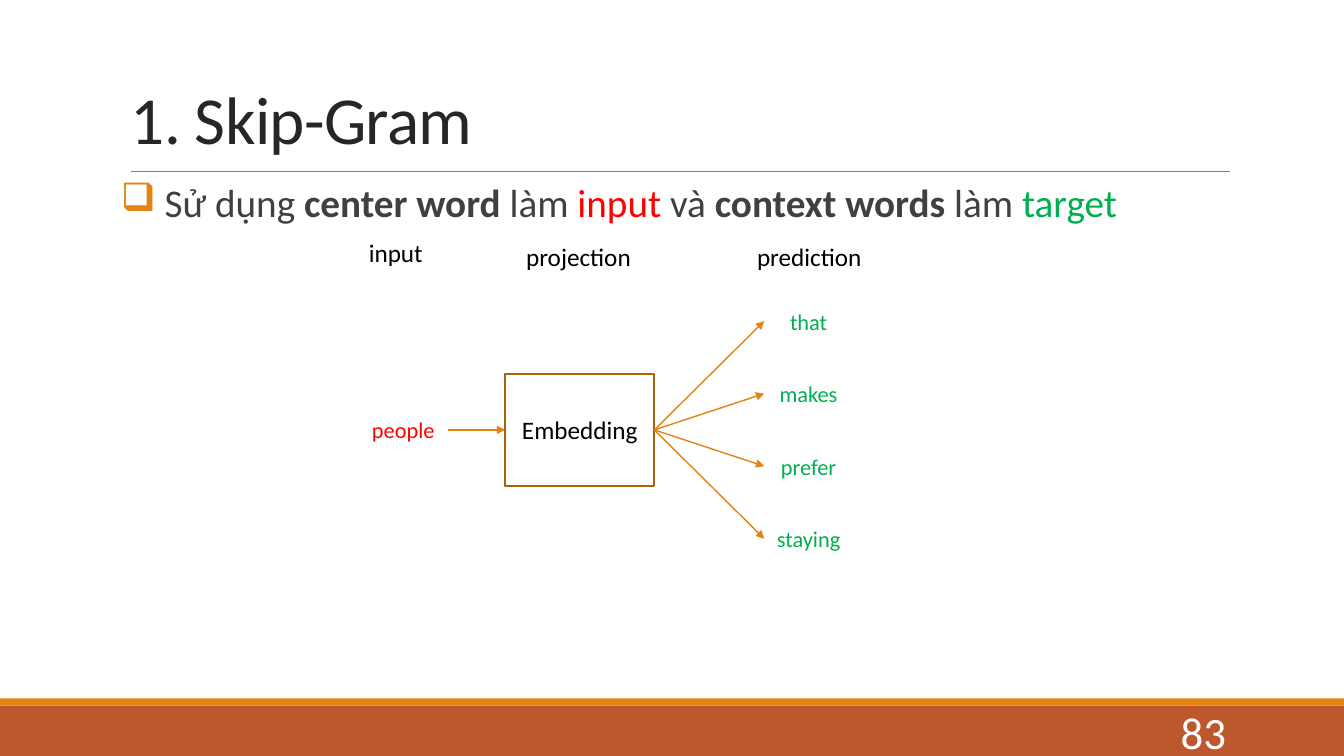
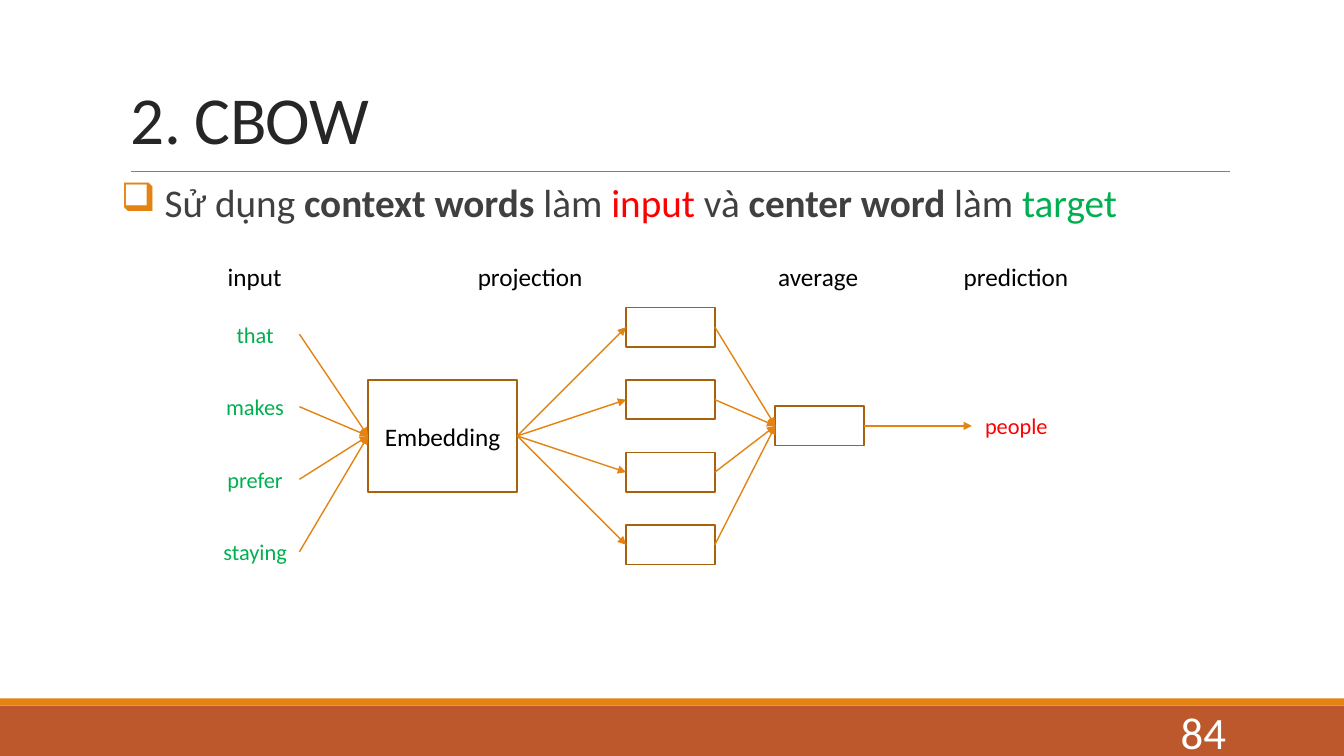
import pptx
import pptx.util
import pptx.dml.color
import pptx.enum.shapes
import pptx.enum.text
import pptx.oxml.ns
from lxml import etree

Inches, Pt = pptx.util.Inches, pptx.util.Pt
ALIGN, ANCHOR = pptx.enum.text.PP_ALIGN, pptx.enum.text.MSO_ANCHOR
RECT = pptx.enum.shapes.MSO_SHAPE.RECTANGLE
STRAIGHT = pptx.enum.shapes.MSO_CONNECTOR.STRAIGHT

FONT = "Calibri"
RUST, ORANGE, BROWN, GRAY = "BD582C", "E48312", "A9610D", "808080"
DARK, BODY, BLACK, WHITE = "262626", "404040", "000000", "FFFFFF"
RED, GREEN = "FF0000", "00B050"

WIDTH, HEIGHT = 13.33, 7.5
CELL_W, CELL_H, PITCH = 0.88, 0.39, 0.72
EMBED_W, EMBED_H = 1.48, 1.11
LEFT_SITE, RIGHT_SITE = 1, 3
CONTEXT = ["that", "makes", "prefer", "staying"]


def rgb(hex_color):
    return pptx.dml.color.RGBColor.from_string(hex_color)


def child(parent, tag, **attrs):
    return etree.SubElement(parent, pptx.oxml.ns.qn(tag), **attrs)


def style_run(r, size, color, bold=False):
    r.font.name, r.font.size, r.font.bold = FONT, Pt(size), bold
    r.font.color.rgb = rgb(color)


def set_text(sp, text, size, color, align=ALIGN.CENTER, anchor=ANCHOR.MIDDLE):
    """Fill a shape with one styled line and return its paragraph."""
    tf = sp.text_frame
    tf.text = text
    tf.word_wrap, tf.vertical_anchor = True, anchor
    p = tf.paragraphs[0]
    p.alignment = align
    style_run(p.runs[0], size, color)
    return p


def add_text(s, box, *args, **kwargs):
    sp = s.shapes.add_textbox(*map(Inches, box))
    set_text(sp, *args, **kwargs)
    return sp


def add_rect(s, box, fill=None, line=None):
    sp = s.shapes.add_shape(RECT, *map(Inches, box))
    sp.shadow.inherit = False
    if fill:
        sp.fill.solid()
        sp.fill.fore_color.rgb = rgb(fill)
    else:
        sp.fill.background()
    if line:
        sp.line.color.rgb, sp.line.width = rgb(line), Pt(1.25)
    else:
        sp.line.fill.background()
    return sp


def add_line(s, x1, y1, x2, y2, color, width):
    cx = s.shapes.add_connector(STRAIGHT, *map(Inches, (x1, y1, x2, y2)))
    cx.line.color.rgb, cx.line.width = rgb(color), Pt(width)
    child(cx._element.spPr, "a:effectLst")
    return cx


def link(s, source, target):
    """Glue an arrow from the right side of source to the left side of target."""
    cx = add_line(s, 0, 0, 1, 1, ORANGE, 1)
    cx.begin_connect(source, RIGHT_SITE)
    cx.end_connect(target, LEFT_SITE)
    child(cx.line._get_or_add_ln(), "a:tailEnd", type="triangle")


def add_heading(s, x, y, width, text):
    sp = add_text(s, (x, y, width, 0.4), text, 18, BLACK, ALIGN.LEFT, ANCHOR.TOP)
    sp.text_frame.word_wrap = False
    sp.text_frame.auto_size = pptx.enum.text.MSO_AUTO_SIZE.SHAPE_TO_FIT_TEXT


def add_word(s, x, y, text, color):
    return add_text(s, (x, y, CELL_W, CELL_H), text, 16, color)


def add_context(s, x, y):
    return [add_word(s, x, y + i * PITCH, word, GREEN) for i, word in enumerate(CONTEXT)]


def add_vector(s, x, y):
    return add_rect(s, (x, y, CELL_W, CELL_H), line=BROWN)


def add_embedding(s, x, y):
    sp = add_rect(s, (x, y, EMBED_W, EMBED_H), line=BROWN)
    set_text(sp, "Embedding", 18, BLACK)
    return sp


def add_statement(s, box, source, target):
    """Bulleted sentence naming what serves as input and as target."""
    sp = s.shapes.add_textbox(*map(Inches, box))
    tf = sp.text_frame
    tf.word_wrap = True
    tf.margin_left = tf.margin_right = 0
    p = tf.paragraphs[0]
    p.line_spacing, p.space_before, p.space_after = 0.9, Pt(12), Pt(2)
    pPr = p._p.get_or_add_pPr()
    pPr.set("marL", str(Inches(0.1)))
    pPr.set("indent", str(-Inches(0.1)))
    child(child(pPr, "a:buClr"), "a:srgbClr", val=ORANGE)
    child(pPr, "a:buChar", char="❑")
    for text, color, bold in [
        (" Sử dụng ", BODY, False), (source + " ", BODY, True),
        ("làm ", BODY, False), ("input", RED, False),
        (" và ", BODY, False), (target + " ", BODY, True),
        ("làm ", BODY, False), ("target", GREEN, False),
    ]:
        r = p.add_run()
        r.text = text
        style_run(r, 28, color, bold)


def add_frame(prs, title, number, source, target):
    """Add a slide with the shared bands, title, statement and page number."""
    s = prs.slides.add_slide(prs.slide_layouts[6])
    add_rect(s, (0, 7, WIDTH, 0.5), fill=RUST)
    add_rect(s, (0, 6.93, WIDTH, 0.07), fill=ORANGE)
    add_line(s, 1.3, 1.7, 12.2, 1.7, GRAY, 0.5)
    sp = s.shapes.add_textbox(*map(Inches, (1.2, 0.31, 11, 1.31)))
    p = set_text(sp, title, 48, DARK, ALIGN.LEFT, ANCHOR.BOTTOM)
    p.line_spacing = 0.85
    p.runs[0].font._element.set("spc", "-50")
    add_statement(s, (1.2, 1.77, 11, 4.65), source, target)
    add_text(s, (10.83, 7.06, 1.43, 0.4), str(number), 32, WHITE, ALIGN.RIGHT)
    return s


def draw_skip_gram(s, x, y):
    add_heading(s, x, y, 0.74, "input")
    add_heading(s, x + 1.56, y + 0.03, 1.25, "projection")
    add_heading(s, x + 3.85, y + 0.03, 1.25, "prediction")
    center = add_word(s, x, y + 1.76, "people", RED)
    embedding = add_embedding(s, x + 1.45, y + 1.4)
    link(s, center, embedding)
    for word in add_context(s, x + 4.02, y + 0.68):
        link(s, embedding, word)


def draw_cbow(s, x, y):
    for dx, width, text in [(0.07, 0.74, "input"), (2.55, 1.25, "projection"),
                            (5.53, 1, "average"), (7.37, 1.25, "prediction")]:
        add_heading(s, x + dx, y, width, text)
    embedding = add_embedding(s, x + 1.56, y + 1.23)
    average = add_vector(s, x + 5.6, y + 1.49)
    for i, word in enumerate(add_context(s, x, y + 0.58)):
        vector = add_vector(s, x + 4.12, y + 0.51 + i * PITCH)
        link(s, word, embedding)
        link(s, embedding, vector)
        link(s, vector, average)
    link(s, average, add_word(s, x + 7.55, y + 1.49, "people", RED))


def main():
    prs = pptx.Presentation()
    prs.slide_width, prs.slide_height = Inches(WIDTH), Inches(HEIGHT)
    s = add_frame(prs, "1. Skip-Gram", 83, "center word", "context words")
    draw_skip_gram(s, 3.56, 2.31)
    s = add_frame(prs, "2. CBOW", 84, "context words", "center word")
    draw_cbow(s, 2.09, 2.54)
    prs.save("out.pptx")


if __name__ == "__main__":
    main()
